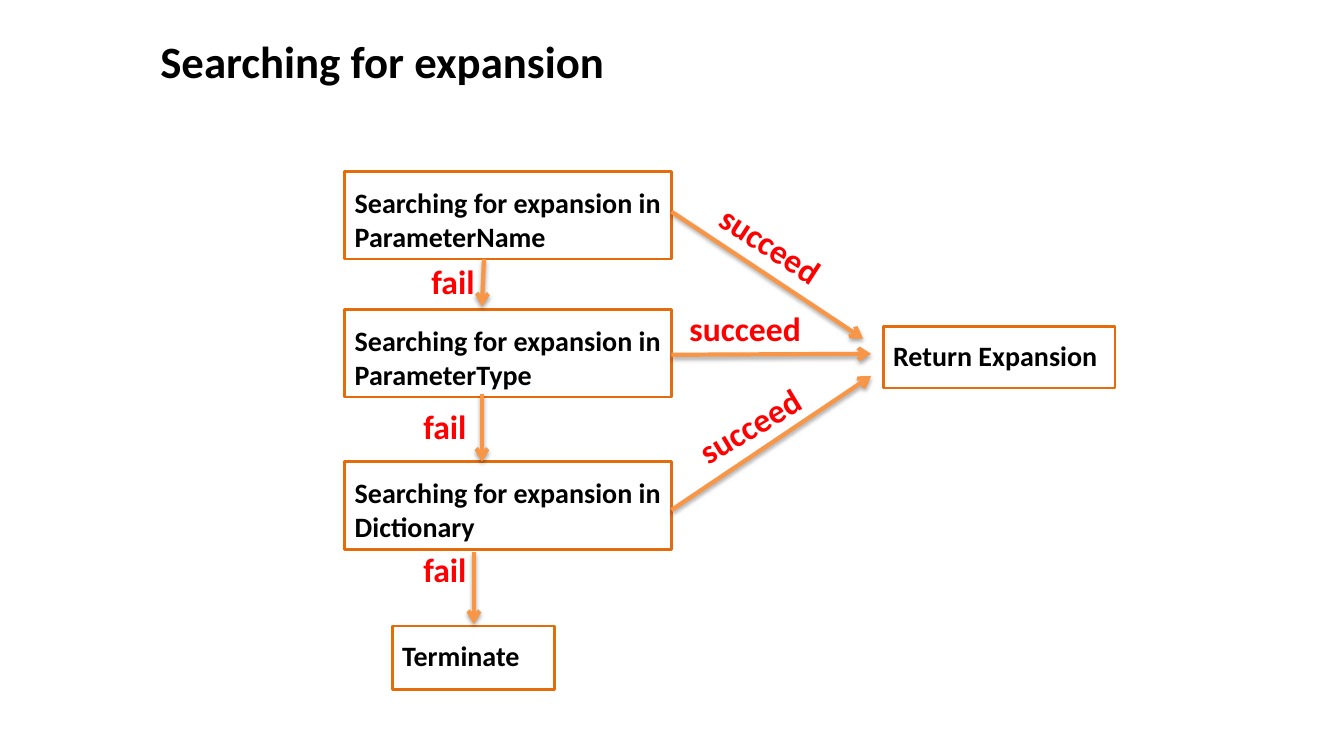
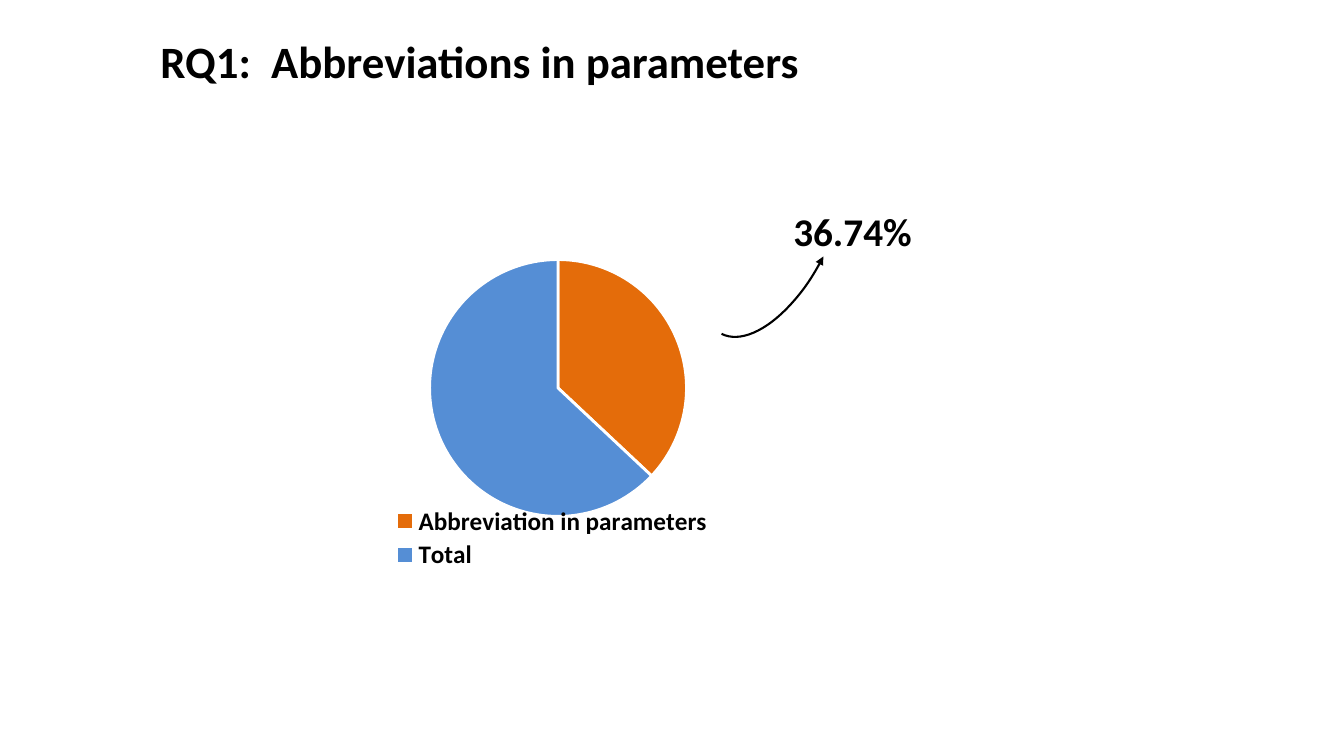
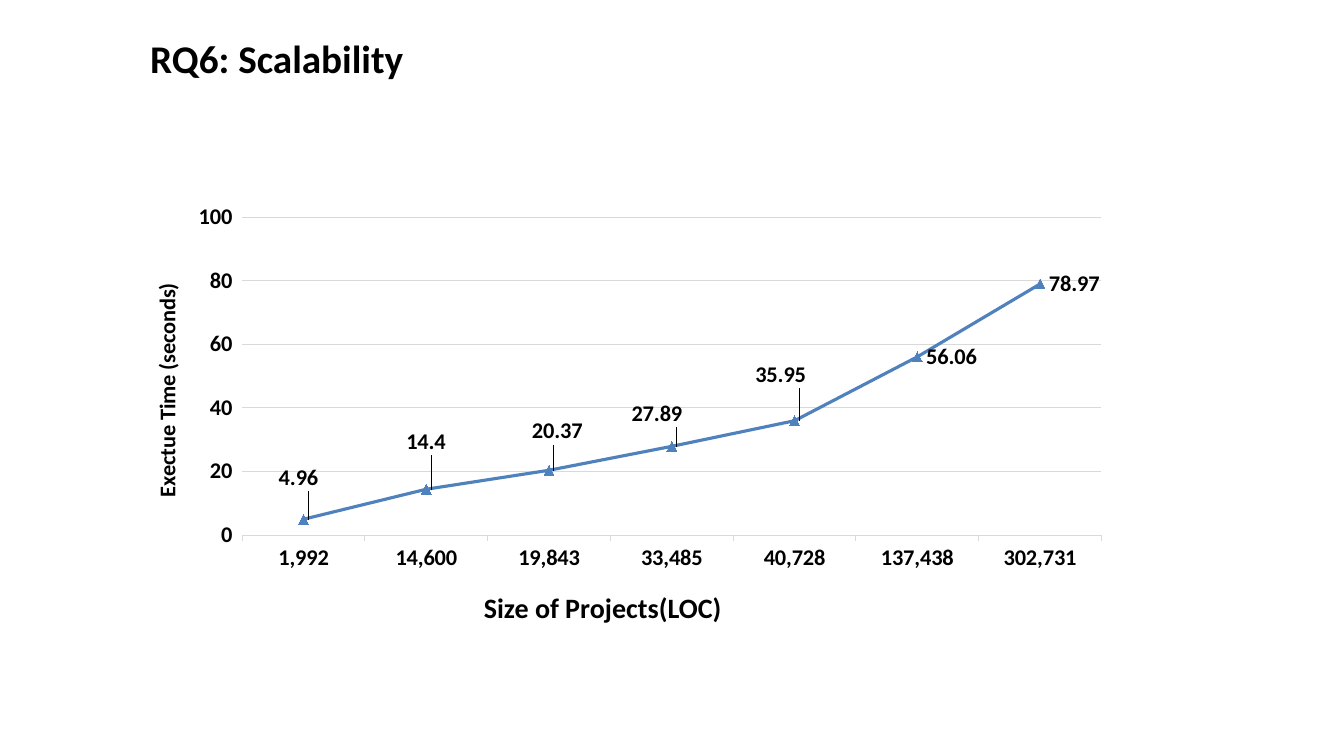
import pptx
import pptx.chart.data
import pptx.dml.color
import pptx.enum.chart
import pptx.enum.shapes
import pptx.enum.text
import pptx.oxml
import pptx.oxml.ns
import pptx.util
from dataclasses import dataclass

PX = 9144  # EMU per px, 100 px to the inch
NS = pptx.oxml.ns.nsdecls
qn = pptx.oxml.ns.qn


@dataclass(frozen=True)
class Theme:
    font: str = "Calibri"
    black: str = "000000"
    white: str = "FFFFFF"
    red: str = "FF0000"
    border: str = "E46C0A"
    arrow: str = "F79646"
    pie_blue: str = "558ED5"
    line_blue: str = "4F81BD"
    grid: str = "D9D9D9"
    title: int = 32
    callout: int = 28
    label: int = 24
    body: int = 20
    legend: int = 18
    axis: int = 16
    chart: int = 10


T = Theme()


# Shared helpers
def rgb(color):
    return pptx.dml.color.RGBColor.from_string(color)


def px(*values):
    return [pptx.util.Emu(v * PX) for v in values]


def style_font(font, size, color=T.black, bold=True):
    font.name, font.size, font.bold = T.font, pptx.util.Pt(size), bold
    font.color.rgb = rgb(color)


def style_line(line, color, width):
    line.color.rgb = rgb(color)
    line.width = pptx.util.Pt(width)


def set_text(sp, text, size, color=T.black, insets=(10, 5, 10, 5), middle=False):
    tf = sp.text_frame
    tf.word_wrap = True
    anchor = pptx.enum.text.MSO_ANCHOR
    tf.vertical_anchor = anchor.MIDDLE if middle else anchor.TOP
    tf.margin_left, tf.margin_top, tf.margin_right, tf.margin_bottom = px(*insets)
    tf.text = text
    p = tf.paragraphs[0]
    p.alignment = pptx.enum.text.PP_ALIGN.LEFT
    style_font(p.runs[0].font, size, color)


def add_text(slide, box, text, size, color=T.black, rotation=0, **options):
    sp = slide.shapes.add_textbox(*px(*box))
    sp.rotation = rotation
    set_text(sp, text, size, color, **options)


def add_title(slide, box, text, size=T.title):
    add_text(slide, box, text, size, insets=(7, 4, 7, 4), middle=True)


def add_node(slide, box, text, top):
    sp = slide.shapes.add_shape(pptx.enum.shapes.MSO_SHAPE.RECTANGLE, *px(*box))
    sp.shadow.inherit = False
    sp.fill.background()
    style_line(sp.line, T.border, 2)
    set_text(sp, text, T.body, insets=(10, top, 5, 5))


def add_arrow(slide, start, end):
    straight = pptx.enum.shapes.MSO_CONNECTOR.STRAIGHT
    cxn = slide.shapes.add_connector(straight, *px(*start, *end))
    style_line(cxn.line, T.arrow, 3)
    cxn.line._get_or_add_ln().append(
        pptx.oxml.parse_xml(f'<a:tailEnd {NS("a")} type="arrow"/>'))
    cxn._element.spPr.append(pptx.oxml.parse_xml(
        f'<a:effectLst {NS("a")}><a:outerShdw blurRad="39370" dist="22860" '
        f'dir="5400000" rotWithShape="0"><a:srgbClr val="{T.black}">'
        '<a:alpha val="35000"/></a:srgbClr></a:outerShdw></a:effectLst>'))


def set_layout(element, index, x, y, w=None, h=None, inner=False, offset=False):
    """Place a chart part by fractions of the chart, or shift it from its default."""
    for old in element.findall(qn("c:layout")):
        element.remove(old)
    parts = [("layoutTarget", "inner")] if inner else []
    if not offset:
        parts += [("xMode", "edge"), ("yMode", "edge")]
    parts += [("x", x), ("y", y)]
    if w is not None:
        parts += [("w", w), ("h", h)]
    body = "".join(f'<c:{tag} val="{val}"/>' for tag, val in parts)
    element.insert(index, pptx.oxml.parse_xml(
        f'<c:layout {NS("c")}><c:manualLayout>{body}</c:manualLayout></c:layout>'))


def add_chart(slide, box, kind, categories, values, plot):
    data = pptx.chart.data.CategoryChartData()
    data.categories = categories
    data.add_series("Series 1", values)
    chart = slide.shapes.add_chart(kind, *px(*box), data).chart
    chart.has_title = False
    style_font(chart.font, T.chart, bold=False)
    set_layout(chart._chartSpace.chart.plotArea, 0, *plot, inner=True)
    return chart


# Flow chart: three search steps on the left, the result on the right
def flow_chart(slide, x, y):
    step_w, step_h = 324, 87
    steps = [("ParameterName", 0), ("ParameterType", 137), ("Dictionary", 288)]
    for place, dy in steps:
        add_node(slide, (x, y + dy, step_w, step_h),
                 f"Searching for expansion in {place}", 14)
    add_node(slide, (x + 47, y + 451, 161, 63), "Terminate", 12)
    add_node(slide, (x + 534, y + 154, 230, 61), "Return Expansion", 12)

    arrows = [
        ((step_w, 182), (522, 181)),
        ((step_w, 40), (514, 166)),
        ((step_w, 336), (522, 203)),
        ((138, 87), (136, 134)),
        ((136, 221), (136, 288)),
        ((128, 378), (128, 449)),
    ]
    for start, end in arrows:
        add_arrow(slide, (x + start[0], y + start[1]), (x + end[0], y + end[1]))

    labels = [
        ("fail", 76, 84, 68, 0),
        ("fail", 68, 228, 84, 0),
        ("fail", 68, 370, 84, 0),
        ("succeed", 356, 52, 147, 33),
        ("succeed", 332, 131, 147, 0),
        ("succeed", 335, 223, 147, 329),
    ]
    for text, dx, dy, w, rotation in labels:
        add_text(slide, (x + dx, y + dy, w, 50), text, T.label, T.red, rotation)


# Pie chart with a legend below and a callout at its upper right
def pie_region(slide, x, y, w, h):
    chart = add_chart(slide, (x, y, w, h), pptx.enum.chart.XL_CHART_TYPE.PIE,
                      ["Abbreviation in parameters", "Total"], [37, 63],
                      (0.04, 0.05, 0.94, 0.77))
    plot = chart.plots[0]
    plot.vary_by_categories = True
    for i, color in enumerate((T.border, T.pie_blue)):
        fmt = plot.series[0].points[i].format
        fmt.fill.solid()
        fmt.fill.fore_color.rgb = rgb(color)
        style_line(fmt.line, T.white, 2)

    chart.has_legend = True
    legend = chart.legend
    legend.position = pptx.enum.chart.XL_LEGEND_POSITION.BOTTOM
    legend.include_in_layout = False
    style_font(legend.font, T.legend)
    set_layout(legend._element, 1, 0.21, 0.78, 0.58, 0.21)

    arc = slide.shapes.add_shape(pptx.enum.shapes.MSO_SHAPE.ARC,
                                 *px(x + 380, y - 67, 228, 111))
    arc.rotation = 116.8
    arc.shadow.inherit = False
    arc.fill.background()
    style_line(arc.line, T.black, 1.5)
    arc.line._get_or_add_ln().append(
        pptx.oxml.parse_xml(f'<a:headEnd {NS("a")} type="triangle"/>'))
    add_text(slide, (x + 504, y - 40, 151, 57), "36.74%", T.callout)


# Line chart of run time against project size
def line_region(slide, x, y, w, h):
    sizes = ["1,992", "14,600", "19,843", "33,485", "40,728", "137,438", "302,731"]
    seconds = [4.96, 14.4, 20.37, 27.89, 35.95, 56.06, 78.97]
    chart = add_chart(slide, (x, y, w, h),
                      pptx.enum.chart.XL_CHART_TYPE.LINE_MARKERS, sizes, seconds,
                      (0.108, 0.144, 0.892, 0.751))
    chart.has_legend = False
    chart.plots[0].vary_by_categories = False

    # Axes
    for axis in (chart.category_axis, chart.value_axis):
        style_font(axis.tick_labels.font, T.axis)
        axis.major_tick_mark = pptx.enum.chart.XL_TICK_MARK.OUTSIDE
    style_line(chart.category_axis.format.line, T.grid, 0.75)
    axis = chart.value_axis
    axis.minimum_scale, axis.maximum_scale, axis.major_unit = 0, 100, 20
    axis.format.line.fill.background()
    axis.has_major_gridlines = True
    style_line(axis.major_gridlines.format.line, T.grid, 0.75)
    tf = axis.axis_title.text_frame
    tf.text = "Exectue Time (seconds)"
    style_font(tf.paragraphs[0].runs[0].font, T.axis)
    tf._txBody.bodyPr.set("rot", "-5400000")
    tf._txBody.bodyPr.set("vert", "horz")
    set_layout(axis.axis_title._element, 1, 0.01, 0.29)

    # Series
    series = chart.plots[0].series[0]
    series.smooth = False
    style_line(series.format.line, T.line_blue, 2.25)
    marker = series.marker
    marker.style = pptx.enum.chart.XL_MARKER_STYLE.TRIANGLE
    marker.size = 7
    marker.format.fill.solid()
    marker.format.fill.fore_color.rgb = rgb(T.line_blue)
    style_line(marker.format.line, T.line_blue, 0.75)

    # Value labels, the first five raised above the line
    right = pptx.enum.chart.XL_LABEL_POSITION.RIGHT
    labels = series.data_labels
    labels.show_value = True
    labels.position = right
    style_font(labels.font, T.axis)
    shifts = [(-0.035, -0.097), (-0.03, -0.111), (-0.027, -0.092),
              (-0.051, -0.076), (-0.05, -0.109)]
    for i, shift in enumerate(shifts):
        label = series.points[i].data_label
        style_font(label.font, T.axis)
        label.position = right
        set_layout(label._dLbl, 1, *shift, offset=True)

    add_text(slide, (x + 333, y + 426, 315, 44), "Size of Projects(LOC)", T.body)


def main():
    prs = pptx.Presentation()
    prs.slide_width, prs.slide_height = px(1333, 750)
    search, share, scale = [prs.slides.add_slide(prs.slide_layouts[6])
                            for _ in range(3)]

    add_title(search, (152, 28, 795, 64), "Searching for expansion")
    flow_chart(search, 342, 170)

    add_title(share, (152, 28, 845, 64), "RQ1:  Abbreviations in parameters")
    pie_region(share, 273, 241, 550, 331)

    add_title(scale, (142, 29, 1008, 57), "RQ6: Scalability", T.callout)
    line_region(scale, 137, 155, 956, 420)

    prs.save("out.pptx")


if __name__ == "__main__":
    main()
